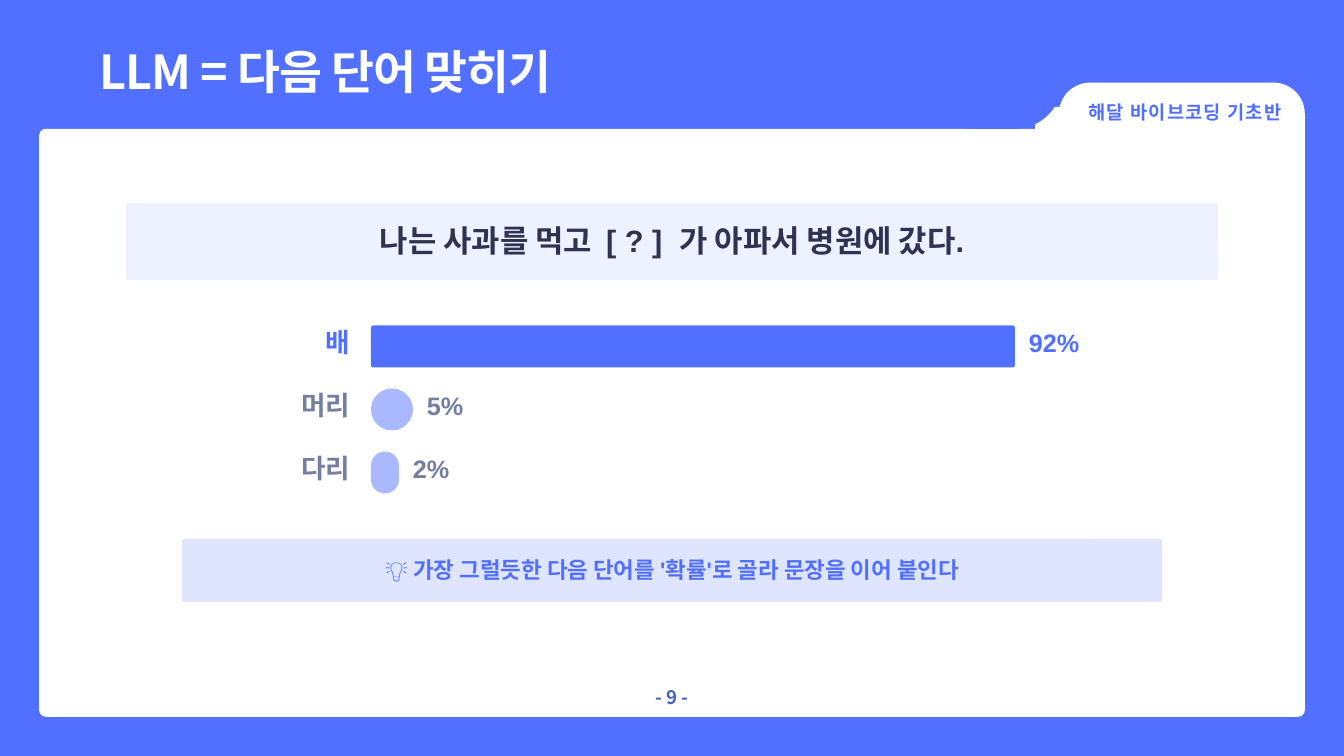
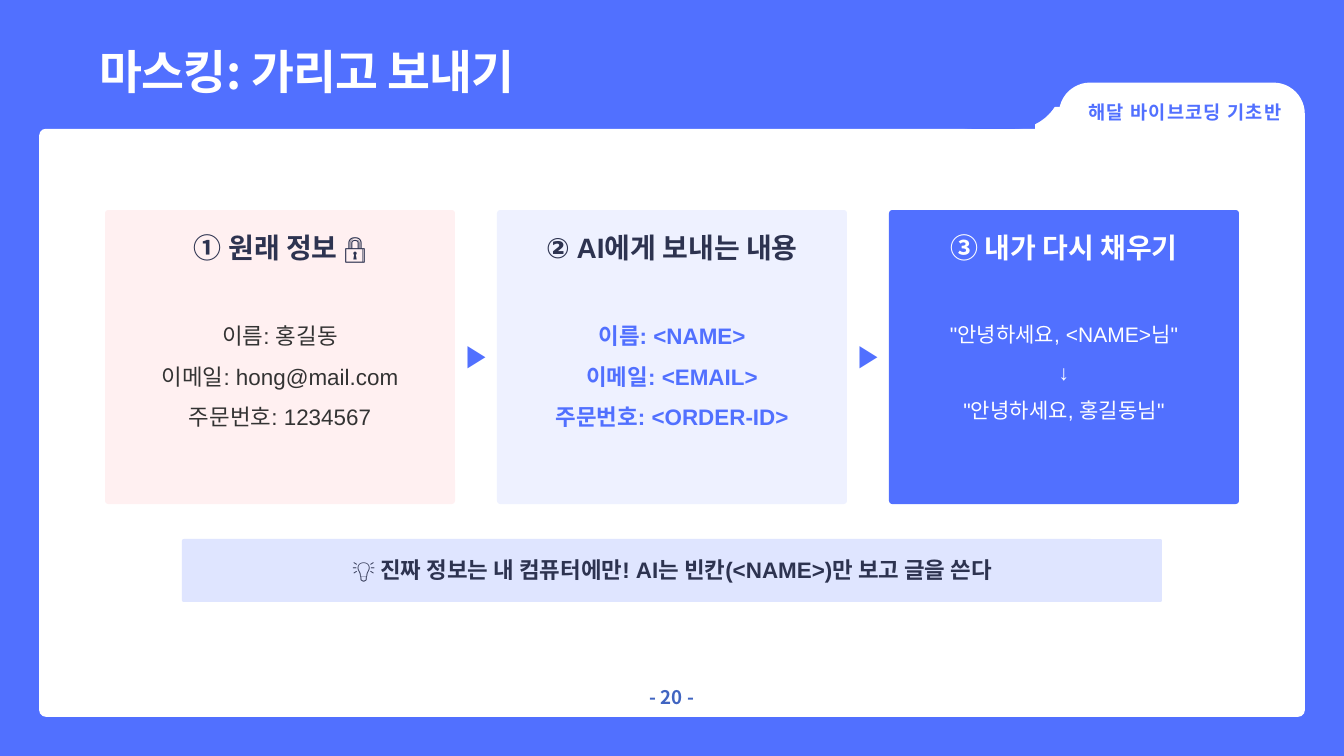
import pptx
import pptx.dml.color
import pptx.enum.shapes
import pptx.enum.text
import pptx.util

Pt = pptx.util.Pt
ALIGN = pptx.enum.text.PP_ALIGN

# Shared look
BLUE, WHITE, INK, GRAY = "5170FF", "FFFFFF", "2D3350", "747EA3"
PALE, NOTE_FILL, LIGHT_BLUE, PINK = "EEF1FF", "DFE5FF", "A9B8FF", "FFF0F1"
TEXT_GRAY, PAGE_BLUE = "333333", "4165C1"
TITLE_FONT, BODY_FONT = "Noto Sans CJK KR", "Arial"
SLIDE_WIDTH, SLIDE_HEIGHT = 1440, 810
COURSE = "해달 바이브코딩 기초반"

# Frame parts: left, top, width, height, corner radius, fill
FRAME = [
    (42, 138, 1356, 630, 7, WHITE),
    (1134.5, 88.5, 263.5, 201, 33.5, WHITE),
    (1109, 114.5, 141, 110, 0, WHITE),
    (990.5, 36, 147.5, 102, 51, BLUE),
]

# Slide content
PREDICTION = {
    "title": "LLM = 다음 단어 맞히기",
    "page": 9,
    "prompt": "나는 사과를 먹고  [ ? ]  가 아파서 병원에 갔다.",
    # word, chance, bar width, corner radius, bar fill, text colour
    "bars": [
        ("배", "92%", 690, 2.5, BLUE, BLUE),
        ("머리", "5%", 45, 22.5, LIGHT_BLUE, GRAY),
        ("다리", "2%", 30, 15, LIGHT_BLUE, GRAY),
    ],
    "note": ("💡 가장 그럴듯한 다음 단어를 '확률'로 골라 문장을 이어 붙인다", BLUE),
}
MASKING = {
    "title": "마스킹: 가리고 보내기",
    "page": 20,
    # heading, lines, fill, heading colour, line colour, line size, bold lines
    "cards": [
        ("① 원래 정보 🔒",
         ["이름: 홍길동", "이메일: hong@mail.com", "주문번호: 1234567"],
         PINK, INK, TEXT_GRAY, 24, False),
        ("② AI에게 보내는 내용",
         ["이름: <NAME>", "이메일: <EMAIL>", "주문번호: <ORDER-ID>"],
         PALE, INK, BLUE, 24, True),
        ("③ 내가 다시 채우기",
         ['"안녕하세요, <NAME>님"', "↓", '"안녕하세요, 홍길동님"'],
         BLUE, WHITE, WHITE, 22.5, False),
    ],
    "note": ("💡 진짜 정보는 내 컴퓨터에만! AI는 빈칸(<NAME>)만 보고 글을 쓴다", INK),
}


def color(value):
    return pptx.dml.color.RGBColor.from_string(value)


def add_panel(slide, left, top, width, height, radius, fill):
    kinds = pptx.enum.shapes.MSO_SHAPE
    kind = kinds.ROUNDED_RECTANGLE if radius else kinds.RECTANGLE
    shape = slide.shapes.add_shape(kind, Pt(left), Pt(top), Pt(width), Pt(height))
    if radius:
        shape.adjustments[0] = radius / min(width, height)
    shape.shadow.inherit = False
    shape.fill.solid()
    shape.fill.fore_color.rgb = color(fill)
    shape.line.fill.background()


def write(shape, lines, size, text_color, line_height, align=ALIGN.CENTER,
          bold=True, font=BODY_FONT, spacing=0):
    frame = shape.text_frame
    frame.word_wrap = True
    frame.auto_size = pptx.enum.text.MSO_AUTO_SIZE.NONE
    frame.vertical_anchor = pptx.enum.text.MSO_ANCHOR.TOP
    frame.margin_left = frame.margin_right = frame.margin_top = frame.margin_bottom = 0
    frame.text = "\n".join(lines)
    for paragraph in frame.paragraphs:
        paragraph.alignment = align
        paragraph.line_spacing = Pt(line_height)
        paragraph.font.name = font
        paragraph.font.size = Pt(size)
        paragraph.font.bold = bold
        paragraph.font.color.rgb = color(text_color)
        if spacing:
            for run in paragraph.runs:
                run._r.get_or_add_rPr().set("spc", str(round(spacing * 100)))


def add_text(slide, left, top, width, height, lines, *style, **options):
    box = slide.shapes.add_textbox(Pt(left), Pt(top), Pt(width), Pt(height))
    write(box, lines, *style, **options)


def add_base_slide(presentation, content):
    """Title, frame, course tab, page number and the note at the foot."""
    slide = presentation.slides.add_slide(presentation.slide_layouts.get_by_name("Title Only"))
    for part in FRAME:
        add_panel(slide, *part)
    title = slide.shapes.title
    title.left, title.top, title.width, title.height = Pt(106.5), Pt(54.5), Pt(968), Pt(54)
    write(title, [content["title"]], 50, WHITE, 51, ALIGN.LEFT,
          font=TITLE_FONT, spacing=-1)
    add_text(slide, 1157, 106.5, 225.5, 26, [COURSE], 20, BLUE, 25.4,
             font=TITLE_FONT, spacing=1.2)
    add_text(slide, 660, 731, 120, 28, [f"- {content['page']} -"], 20, PAGE_BLUE, 28,
             font=TITLE_FONT)
    note, note_color = content["note"]
    add_panel(slide, 195, 577.5, 1050, 67.5, 2, NOTE_FILL)
    add_text(slide, 195, 590.5, 1050, 32.5, [note], 24, note_color, 33.6)
    return slide


def add_prediction_slide(presentation):
    slide = add_base_slide(presentation, PREDICTION)
    add_panel(slide, 135, 217.5, 1170, 82.5, 1, PALE)
    add_text(slide, 135, 231, 1170, 47, [PREDICTION["prompt"]], 33, INK, 46.2)

    # One row per candidate word: label, bar, chance
    bar_left, bar_height, row_step, gap = 397.5, 45, 67.5, 15
    for row, (word, chance, width, radius, fill, text_color) in enumerate(PREDICTION["bars"]):
        top = 348.75 + row * row_step
        add_text(slide, 225, top - 5.25, 150, 40, [word], 28.5, text_color, 39.9, ALIGN.RIGHT)
        add_panel(slide, bar_left, top, width, bar_height, radius, fill)
        add_text(slide, bar_left + width + gap, top - 3, 150, 37.5, [chance],
                 27, text_color, 37.8, ALIGN.LEFT)


def add_masking_slide(presentation):
    slide = add_base_slide(presentation, MASKING)
    cards = MASKING["cards"]
    card_width, gap, inset, arrow_width = 375, 45, 22.5, 37.5
    first_left = (SLIDE_WIDTH - len(cards) * card_width - (len(cards) - 1) * gap) / 2
    for index, (heading, lines, fill, heading_color, line_color, size, bold) in enumerate(cards):
        left = first_left + index * (card_width + gap)
        add_panel(slide, left, 225, card_width, 315, 3.5, fill)
        add_text(slide, left, 241, card_width, 42, [heading], 30, heading_color, 42)
        add_text(slide, left + inset, 331, card_width - 2 * inset, 126, lines,
                 size, line_color, size * 1.8, bold=bold)
        # Arrow in the gap before each later card
        if index:
            add_text(slide, left - (gap + arrow_width) / 2, 353, arrow_width, 46.5, ["▶"],
                     33, BLUE, 46.2, bold=False)


def main():
    presentation = pptx.Presentation()
    presentation.slide_width, presentation.slide_height = Pt(SLIDE_WIDTH), Pt(SLIDE_HEIGHT)
    background = presentation.slide_master.background.fill
    background.solid()
    background.fore_color.rgb = color(BLUE)
    add_prediction_slide(presentation)
    add_masking_slide(presentation)
    presentation.save("out.pptx")


if __name__ == "__main__":
    main()
